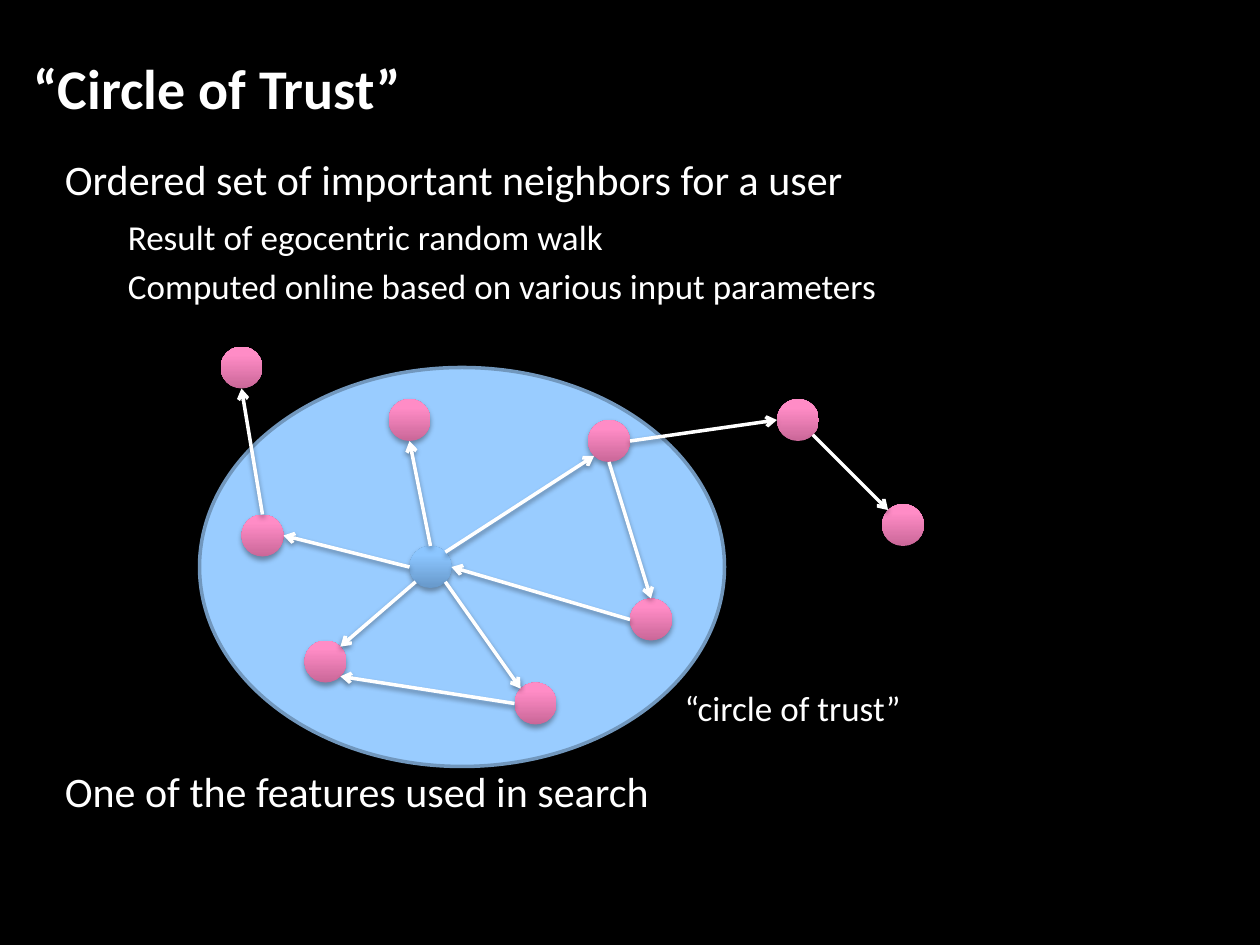
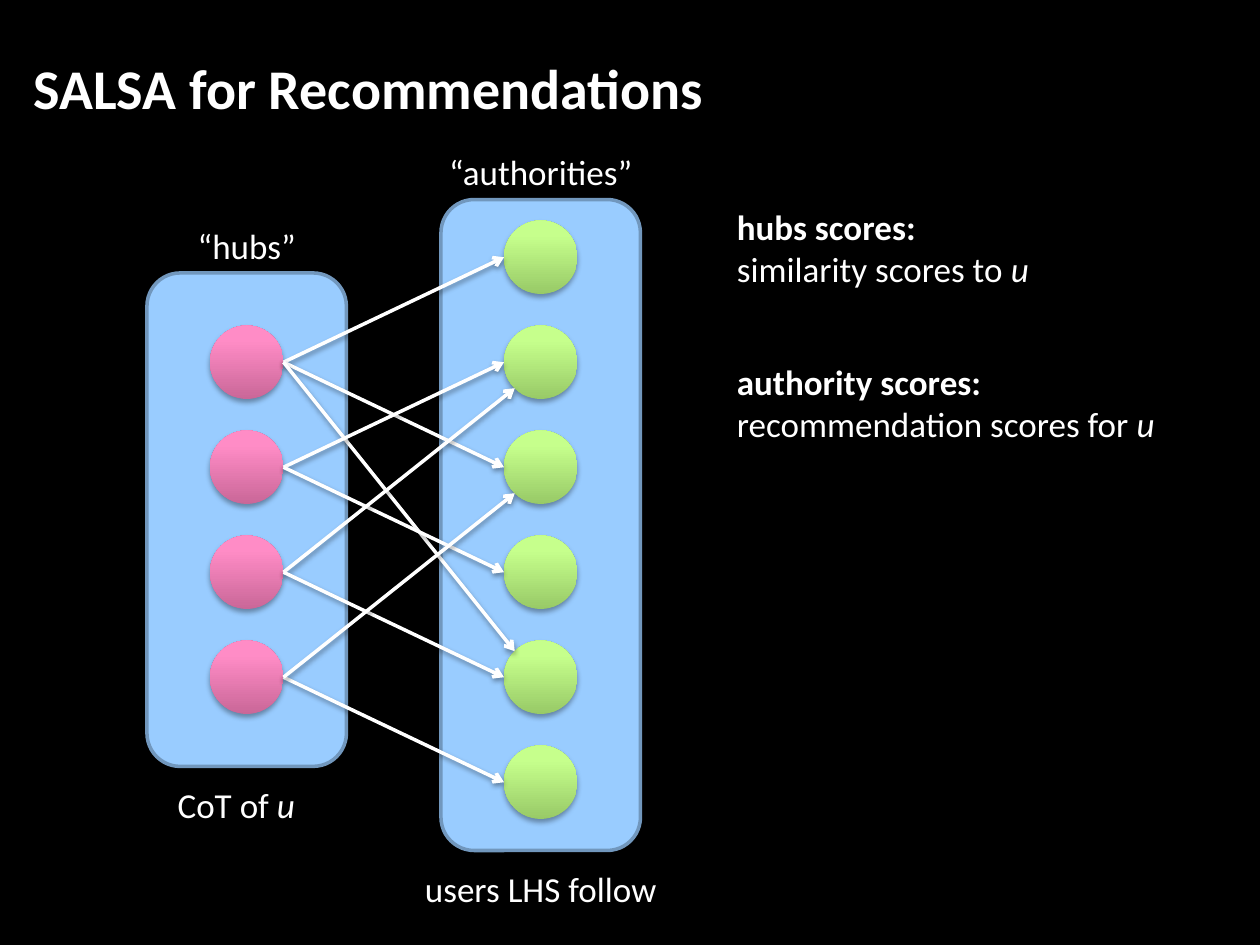
"""Builds two slides on trust circles and SALSA recommendations."""
from math import cos, radians, sin

from lxml.etree import SubElement
from pptx import Presentation
from pptx.dml.color import RGBColor as RGB
from pptx.enum.shapes import MSO_CONNECTOR as Link, MSO_SHAPE as Form
from pptx.enum.text import MSO_ANCHOR as Anchor, PP_ALIGN as Align
from pptx.oxml.ns import qn
from pptx.util import Pt

COLORS = {
    "back": "000000", "text": "FFFFFF", "area": "99CCFF", "edge": "7197BD",
    "blue": ("6798CA", "8CC6FF"),
    "pink": ("CA6798", "FF8CC6"),
    "green": ("98CA67", "C6FF8C"),
}
BASE = {"name": "Calibri", "bold": False, "italic": False}
HEAD = {"size": Pt(32), "bold": True}
LARGE = {"size": Pt(24)}
SMALL = {"size": Pt(20)}
BOLD = {"bold": True}
ITALIC = {"italic": True}

TOP, TOP_LEFT, LEFT, LOW_LEFT, LOW, LOW_RIGHT, RIGHT, TOP_RIGHT = range(8)


class Deck:
    """Holds the style and the current slide."""

    def __init__(self):
        """Start a black 4:3 deck."""
        self.prs = Presentation()
        self.prs.slide_width, self.prs.slide_height = Pt(720), Pt(540)
        fill = self.prs.slide_master.background.fill
        fill.solid()
        fill.fore_color.rgb = self.color("back")
        self.slide = None

    def color(self, name):
        """Look up a plain colour."""
        return RGB.from_string(COLORS[name])

    def style(self, font, *formats):
        """Set font attributes from format dicts."""
        values = dict(BASE)
        for part in formats:
            values.update(part)
        for key, value in values.items():
            setattr(font, key, value)
        font.color.rgb = self.color("text")

    def start(self, title):
        """Add a slide with its title."""
        self.slide = self.prs.slides.add_slide(self.prs.slide_layouts[5])
        head = self.slide.shapes.title
        place = {"left": 12, "top": 9, "width": 684, "height": 81}
        for key, value in place.items():
            setattr(head, key, Pt(value))
        head.text_frame.vertical_anchor = Anchor.MIDDLE
        self.put(head.text_frame.paragraphs[0], [[(title, {})]], HEAD)

    def box(self, place):
        """Add an empty wrapping text box."""
        frame = self.slide.shapes.add_textbox(*map(Pt, place)).text_frame
        frame.word_wrap = True
        return frame

    def put(self, para, lines, size, align=Align.LEFT):
        """Fill a paragraph with lines of (text, format) runs."""
        para.alignment = align
        for index, line in enumerate(lines):
            if index:
                para.add_line_break()
            for text, form in line:
                run = para.add_run()
                run.text = text
                self.style(run.font, size, form)

    def label(self, place, *lines, align=Align.CENTER):
        """Add a small label."""
        self.put(self.box(place).paragraphs[0], lines, SMALL, align)

    def body(self, place, point, details=()):
        """Add a main point with indented details."""
        frame = self.box(place)
        para = frame.paragraphs[0]
        para.space_after = Pt(5)
        self.put(para, [[(point, {})]], LARGE)
        for text in details:
            para = frame.add_paragraph()
            para._p.get_or_add_pPr().set("marL", str(Pt(36)))
            para.space_before = para.space_after = Pt(2)
            self.put(para, [[(text, {})]], SMALL)

    def shade(self, props, alpha, gap):
        """Cast a soft shadow straight down."""
        effect = SubElement(props, qn("a:effectLst"))
        shadow = SubElement(effect, qn("a:outerShdw"), blurRad=str(Pt(3.1)),
                            dist=str(Pt(gap)), dir="5400000", rotWithShape="0")
        tint = SubElement(shadow, qn("a:srgbClr"), val=COLORS["back"])
        SubElement(tint, qn("a:alpha"), val=str(alpha * 1000))

    def area(self, form, place):
        """Add a flat outlined area."""
        shape = self.slide.shapes.add_shape(form, *map(Pt, place))
        shape.shadow.inherit = False
        shape.fill.solid()
        shape.fill.fore_color.rgb = self.color("area")
        shape.line.color.rgb = self.color("edge")
        shape.line.width = Pt(2)

    def node(self, center, radius, hue):
        """Add a shaded ball around a center."""
        x, y = center
        place = x - radius, y - radius, 2 * radius, 2 * radius
        ball = self.slide.shapes.add_shape(Form.OVAL, *map(Pt, place))
        ball.fill.gradient()
        ball.fill.gradient_angle = 90
        stops = zip(ball.fill.gradient_stops, (0, 0.8), COLORS[hue])
        for stop, spot, tone in stops:
            stop.position = spot
            stop.color.rgb = RGB.from_string(tone)
        ball.line.fill.background()
        self.shade(ball._element.spPr, 35, 1.8)

    def arrow(self, start, out, end, into, radius):
        """Join two balls at their rim sites, 45 degrees apart."""
        ends = []
        for (x, y), site in ((start, out), (end, into)):
            turn = radians(45 * site)
            ends += [Pt(x - radius * sin(turn)), Pt(y - radius * cos(turn))]
        line = self.slide.shapes.add_connector(Link.STRAIGHT, *ends)
        line.line.color.rgb = self.color("text")
        line.line.width = Pt(2)
        props = line._element.spPr
        SubElement(props.find(qn("a:ln")), qn("a:tailEnd"), type="arrow")
        self.shade(props, 38, 1.6)


def trust(deck):
    """Draw the walk around one user."""
    radius = 12
    nodes = {
        "ego": (246, 324), "fan": (348, 252), "far": (456, 240),
        "top": (234, 240), "west": (150, 306), "out": (138, 210),
        "low": (186, 378), "base": (306, 402), "east": (372, 354),
        "end": (516, 300),
    }
    links = [
        ("ego", TOP_RIGHT, "fan", LOW_LEFT), ("east", LEFT, "ego", RIGHT),
        ("fan", RIGHT, "far", LEFT), ("fan", LOW, "east", TOP),
        ("base", LEFT, "low", LOW_RIGHT), ("far", LOW_RIGHT, "end", TOP_LEFT),
        ("ego", LOW_RIGHT, "base", TOP_LEFT),
        ("ego", LOW_LEFT, "low", TOP_RIGHT), ("ego", LEFT, "west", RIGHT),
        ("ego", TOP, "top", LOW), ("west", TOP, "out", LOW),
    ]
    deck.start("“Circle of Trust”")
    deck.body((30, 84, 666, 100), "Ordered set of important neighbors for a user",
              ("Result of egocentric random walk",
               "Computed online based on various input parameters"))
    deck.area(Form.OVAL, (114, 210, 300, 228))
    deck.body((30, 434, 666, 40), "One of the features used in search")
    for name, center in nodes.items():
        deck.node(center, radius, "blue" if name == "ego" else "pink")
    for start, out, end, into in links:
        deck.arrow(nodes[start], out, nodes[end], into, radius)
    deck.label((360, 389, 186, 32), [("“circle of trust”", {})])


def salsa(deck):
    """Draw hubs linked to authorities."""
    radius, step = 21, 60
    hubs = [(141, 207 + step * row) for row in range(4)]
    auths = [(309, 147 + step * row) for row in range(6)]
    links = [
        (0, 0, LEFT), (0, 2, LEFT), (0, 4, TOP_LEFT),
        (1, 1, LEFT), (1, 3, LEFT),
        (2, 1, LOW_LEFT), (2, 4, LEFT),
        (3, 5, LEFT), (3, 2, LOW_LEFT),
    ]
    deck.start("SALSA for Recommendations")
    deck.area(Form.ROUNDED_RECTANGLE, (84, 156, 114, 282))
    deck.area(Form.ROUNDED_RECTANGLE, (252, 114, 114, 372))
    for group, hue in ((hubs, "pink"), (auths, "green")):
        for center in group:
            deck.node(center, radius, hue)
    for hub, auth, into in links:
        deck.arrow(hubs[hub], RIGHT, auths[auth], into, radius)

    user = ("u", ITALIC)
    deck.label((96, 124.5, 90, 32), [("“hubs”", {})])
    deck.label((246, 82.5, 126, 32), [("“authorities”", {})])
    deck.label((72, 444, 126, 32), [("CoT of ", {}), user])
    deck.label((216, 492, 186, 32), [("users LHS follow", {})])
    scores = [
        (114, 246, "hubs scores:", "similarity scores to "),
        (202.5, 282, "authority scores:", "recommendation scores for "),
    ]
    for top, width, head, text in scores:
        deck.label((414, top, width, 55.5), [(head, BOLD)], [(text, {}), user],
                   align=Align.LEFT)


def main():
    """Build and save the deck."""
    deck = Deck()
    trust(deck)
    salsa(deck)
    deck.prs.save("out.pptx")


if __name__ == "__main__":
    main()
